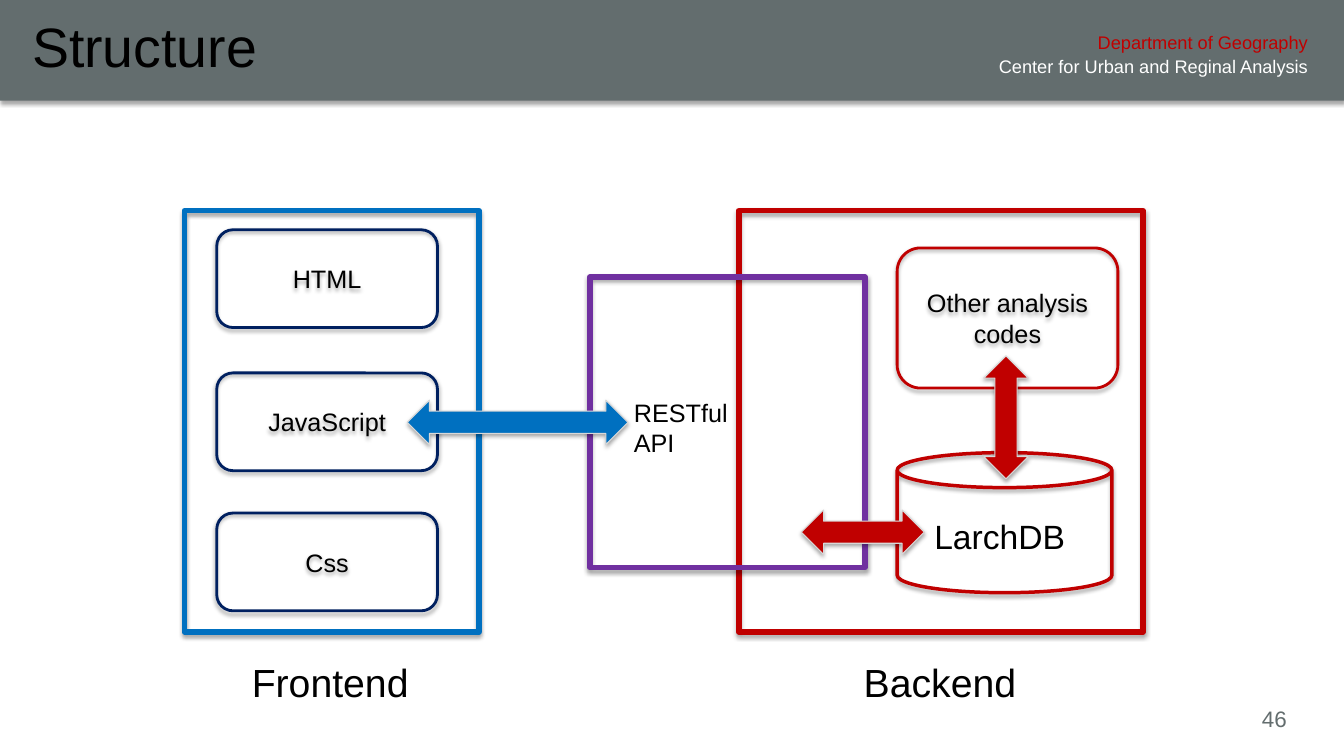
import pptx
import pptx.dml.color
import pptx.enum.shapes
import pptx.enum.text
import pptx.oxml
import pptx.oxml.ns
import pptx.util

SHAPE = pptx.enum.shapes.MSO_SHAPE
ALIGN = pptx.enum.text.PP_ALIGN
ANCHOR = pptx.enum.text.MSO_ANCHOR

COLORS = {
    "slate": "636D6E",
    "white": "FFFFFF",
    "black": "000000",
    "red": "C00000",
    "purple": "7030A0",
    "blue": "0070C0",
    "navy": "002060",
    "silver": "D8D8D8",
}
COLUMNS, ROWS = 133.33, 75

SHADOW = (
    '<a:outerShdw %s blurRad="39370" dist="22860" dir="5400000" rotWithShape="0">'
    '<a:srgbClr val="%s"><a:alpha val="35000"/></a:srgbClr></a:outerShdw>'
    % (pptx.oxml.ns.nsdecls("a"), COLORS["black"])
)


class Diagram:
    """Draws on one slide; places are (column, row, columns wide, rows high)."""

    font_name = "Arial"

    def __init__(self, presentation):
        self.slide = presentation.slides.add_slide(presentation.slide_layouts[6])
        self.column = presentation.slide_width / COLUMNS
        self.row = presentation.slide_height / ROWS

    def place(self, left, top, width, height):
        return (round(left * self.column), round(top * self.row),
                round(width * self.column), round(height * self.row))

    def color(self, name):
        return pptx.dml.color.RGBColor.from_string(COLORS[name])

    def set_text(self, frame, text, size, color="black", align=ALIGN.LEFT):
        frame.text = text
        for paragraph in frame.paragraphs:
            paragraph.alignment = align
            paragraph.font.name = self.font_name
            paragraph.font.size = pptx.util.Pt(size)
            paragraph.font.color.rgb = self.color(color)

    def label(self, place, text, size, color="black", align=ALIGN.LEFT,
              wrap=False, anchor=ANCHOR.TOP):
        frame = self.slide.shapes.add_textbox(*self.place(*place)).text_frame
        frame.word_wrap = wrap
        frame.vertical_anchor = anchor
        self.set_text(frame, text, size, color, align)

    def shape(self, kind, place, fill=None, line=None, weight=0):
        """Add a preset shape with the soft shadow all shapes share."""
        shape = self.slide.shapes.add_shape(kind, *self.place(*place))
        if fill:
            shape.fill.solid()
            shape.fill.fore_color.rgb = self.color(fill)
        else:
            shape.fill.background()
        if line:
            shape.line.color.rgb = self.color(line)
            shape.line.width = pptx.util.Pt(weight)
        else:
            shape.line.fill.background()
        shape.shadow.inherit = False
        effects = shape._element.spPr.find(pptx.oxml.ns.qn("a:effectLst"))
        effects.append(pptx.oxml.parse_xml(SHADOW))
        return shape

    def tier(self, place, color):
        self.shape(SHAPE.RECTANGLE, place, line=color, weight=4)

    def component(self, place, text, color):
        box = self.shape(SHAPE.ROUNDED_RECTANGLE, place, line=color, weight=2)
        box.text_frame.word_wrap = True
        box.text_frame.vertical_anchor = ANCHOR.MIDDLE
        self.set_text(box.text_frame, text, 18, align=ALIGN.CENTER)

    def exchange(self, place, color, rotation=0):
        arrow = self.shape(SHAPE.LEFT_RIGHT_ARROW, place, color, "silver", 0.75)
        arrow.rotation = rotation


def main():
    presentation = pptx.Presentation()
    presentation.slide_width = pptx.util.Inches(13.33)
    presentation.slide_height = pptx.util.Inches(7.5)
    diagram = Diagram(presentation)

    diagram.shape(SHAPE.RECTANGLE, (0, 0, COLUMNS, 10), fill="slate")
    diagram.label((124.2, 69.5, 4.8, 3.7), "46", 16, "slate")
    for top, unit, color in (
        (5, "Center for Urban and Reginal Analysis", "white"),
        (2.6, "Department of Geography", "red"),
    ):
        diagram.label((82.9, top, 47.8, 3.2), unit, 13, color, ALIGN.RIGHT, wrap=True)
    diagram.label((2.2, 1.7, 124.5, 5.6), "Structure", 39.6,
                  wrap=True, anchor=ANCHOR.MIDDLE)

    diagram.tier((73.3, 20.9, 40.1, 41.8), "red")
    diagram.tier((58.5, 27.5, 27.3, 28.8), "purple")
    diagram.tier((18.3, 20.9, 29.2, 41.8), "blue")

    diagram.shape(SHAPE.CAN, (89, 44.9, 21.3, 13.9), line="red", weight=2.5)
    diagram.label((91.7, 50.7, 17, 5), "LarchDB", 24)
    diagram.exchange((79.5, 50.6, 12.2, 4.4), "red")

    diagram.label((61.9, 38.9, 11.4, 7.1), "RESTful\nAPI", 18)
    diagram.label((24, 64.8, 17.8, 5.7), "Frontend", 28)
    diagram.label((84.7, 64.8, 17.3, 5.7), "Backend", 28)

    for top, language in ((22.8, "HTML"), (37, "JavaScript"), (50.9, "Css")):
        diagram.component((21.5, top, 21.9, 9.7), language, "navy")
    diagram.component((89, 24.6, 21.9, 13.9), "Other analysis codes", "red")

    diagram.exchange((93.7, 39.2, 12.2, 4.4), "red", rotation=270)
    diagram.exchange((40.4, 39.7, 21.9, 4.4), "blue")

    presentation.save("out.pptx")


if __name__ == "__main__":
    main()
